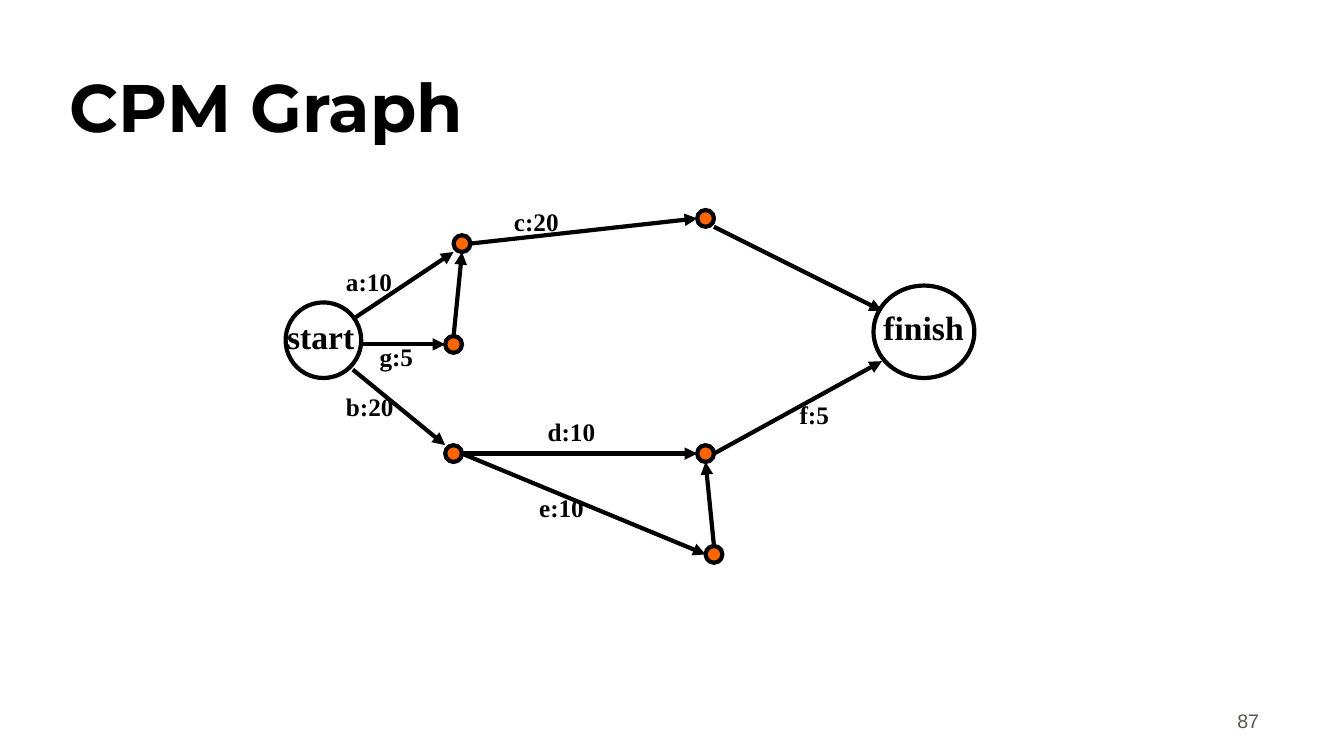
from lxml.etree import SubElement
from pptx import Presentation
from pptx.dml.color import RGBColor
from pptx.enum.shapes import MSO_CONNECTOR as Connector, MSO_SHAPE as Shape
from pptx.enum.text import MSO_ANCHOR as Anchor, MSO_AUTO_SIZE as AutoSize, PP_ALIGN as Align
from pptx.oxml.ns import qn
from pptx.util import Pt

BLACK, ORANGE, GREY = "000000", "FF6600", "5E574E"
SERIF = "Times New Roman"
DOT = 12


def color(hex_string):
    return RGBColor.from_string(hex_string)


def write(shape, text, font, text_color, frame=None, align=Align.LEFT):
    """Put one formatted paragraph into a shape."""
    text_frame = shape.text_frame
    text_frame.text = text
    for name, value in (frame or {}).items():
        setattr(text_frame, name, value)
    paragraph = text_frame.paragraphs[0]
    paragraph.alignment = align
    for name, value in font.items():
        setattr(paragraph.font, name, value)
    paragraph.font.color.rgb = color(text_color)


presentation = Presentation()
presentation.slide_width, presentation.slide_height = Pt(960), Pt(540)
slide = presentation.slides.add_slide(presentation.slide_layouts[5])
shapes = slide.shapes

# Title
title = shapes.title
title.left, title.top, title.width, title.height = Pt(42.5), Pt(18), Pt(816), Pt(90)
write(title, "CPM Graph", {"name": "Montserrat", "size": Pt(48), "bold": True}, BLACK,
      {"vertical_anchor": Anchor.BOTTOM, "auto_size": AutoSize.NONE})

# Slide number
number = shapes.add_textbox(Pt(706.5), Pt(490.5), Pt(200), Pt(36))
write(number, "87", {"name": "Arial", "size": Pt(14)}, GREY,
      {"word_wrap": True, "vertical_anchor": Anchor.BOTTOM}, Align.RIGHT)

# Events: the two end circles, then the small dots
circles = [(204, 216, 54, 54, None), (624, 204, 72, 66, None)]
dots = [(318, 318), (498, 150), (498, 318), (504, 390), (324, 168), (318, 240)]
circles += [(left, top, DOT, DOT, ORANGE) for left, top in dots]
for left, top, width, height, fill in circles:
    circle = shapes.add_shape(Shape.OVAL, Pt(left), Pt(top), Pt(width), Pt(height))
    circle.shadow.inherit = False
    if fill:
        circle.fill.solid()
        circle.fill.fore_color.rgb = color(fill)
    else:
        circle.fill.background()
    circle.line.color.rgb = color(BLACK)
    circle.line.width = Pt(3)

# Activity arrows: start point, end point
arrows = [
    (252, 264, 318, 318),
    (252, 228, 324, 180),
    (330, 324, 504, 396),
    (330, 324, 498, 324),
    (510, 390, 504, 330),
    (510, 324, 630, 258),
    (336, 174, 498, 156),
    (510, 162, 630, 222),
    (258, 246, 318, 246),
    (324, 240, 330, 180),
]
for points in arrows:
    arrow = shapes.add_connector(Connector.STRAIGHT, *map(Pt, points))
    arrow.line.color.rgb = color(BLACK)
    arrow.line.width = Pt(3)
    SubElement(arrow.line._get_or_add_ln(), qn("a:tailEnd"), type="triangle")
    SubElement(arrow._element.spPr, qn("a:effectLst"))

# Names of the end circles
for text, left, top, width in [("start", 198, 222, 62.5), ("finish", 624, 216, 72)]:
    name_box = shapes.add_textbox(Pt(left), Pt(top), Pt(width), Pt(36))
    write(name_box, text, {"name": SERIF, "size": Pt(24), "bold": True}, BLACK,
          {"word_wrap": False, "auto_size": AutoSize.SHAPE_TO_FIT_TEXT})

# Activity labels with durations
labels = [
    ("a:10", 240, 187),
    ("c:20", 360, 144),
    ("f:5", 564, 282),
    ("d:10", 384, 294),
    ("e:10", 378, 348),
    ("b:20", 240, 276),
    ("g:5", 264, 240),
]
for text, left, top in labels:
    label = shapes.add_textbox(Pt(left), Pt(top), Pt(60), Pt(29))
    write(label, text, {"name": SERIF, "size": Pt(18), "bold": True}, BLACK,
          {"word_wrap": True, "auto_size": AutoSize.SHAPE_TO_FIT_TEXT})

presentation.save("out.pptx")
